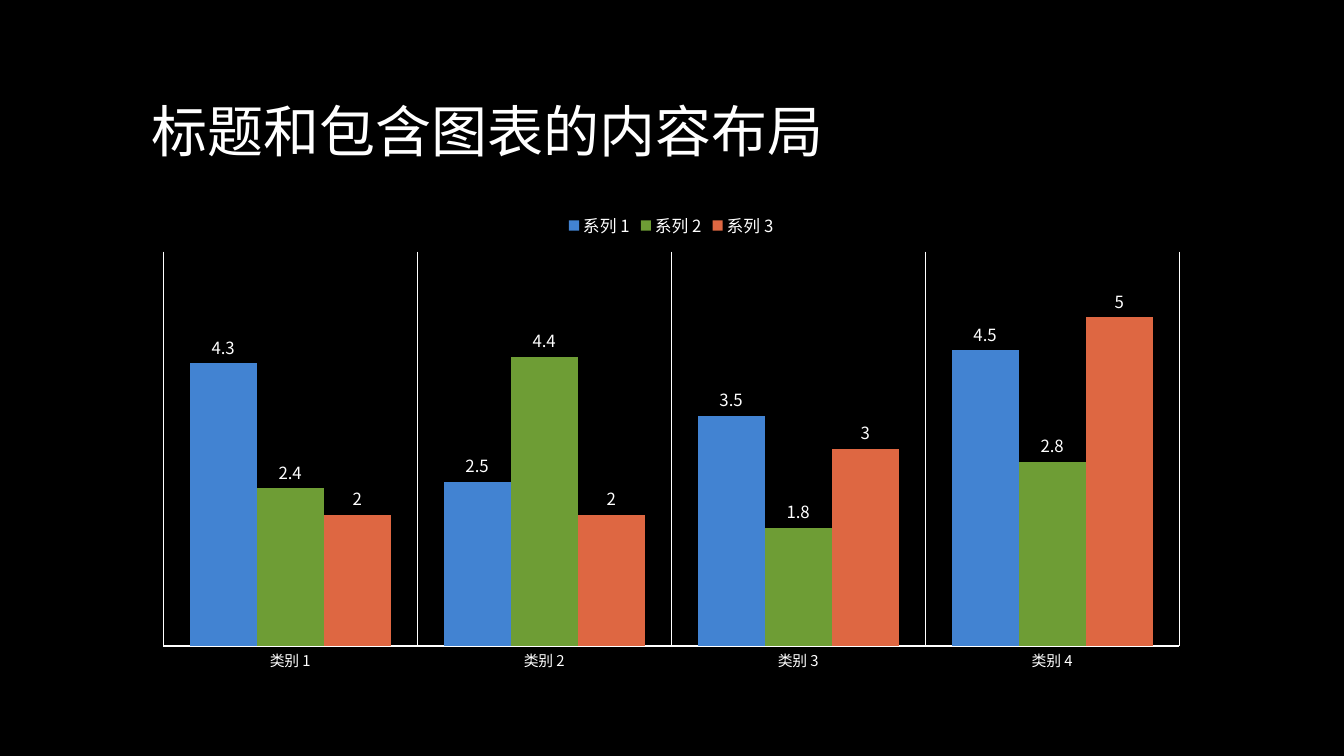
import pptx
import pptx.chart.data
import pptx.dml.color
import pptx.enum.chart
import pptx.enum.text
import pptx.util
from pptx.util import Cm, Pt

SANS = "Noto Sans CJK SC"
WHITE = "FFFFFF"
CATS = ["类别 1", "类别 2", "类别 3", "类别 4"]
ROWS = [
    ("系列 1", [4.3, 2.5, 3.5, 4.5], "4283D2"),
    ("系列 2", [2.4, 4.4, 1.8, 2.8], "6E9D35"),
    ("系列 3", [2, 2, 3, 5], "DE6742"),
]


def tint(color):
    """Return the colour for a hex string."""
    return pptx.dml.color.RGBColor.from_string(color)


def style(font, size, name=SANS):
    """Set a white font of the given size."""
    font.size = Pt(size)
    font.name = name
    font.bold = False
    font.color.rgb = tint(WHITE)


def rule(line):
    """Make a line thin and white."""
    line.color.rgb = tint(WHITE)
    line.width = Pt(0.75)


def title(slide, box, text):
    """Place the title at the foot of its box."""
    frame = slide.shapes.add_textbox(*box).text_frame
    frame.word_wrap = True
    frame.vertical_anchor = pptx.enum.text.MSO_ANCHOR.BOTTOM
    para = frame.paragraphs[0]
    para.line_spacing = 0.8
    run = para.add_run()
    run.text = text
    style(run.font, 40, "Karla")


def columns(slide, box):
    """Place the clustered column chart in its box."""
    data = pptx.chart.data.CategoryChartData()
    data.categories = CATS
    for name, vals, color in ROWS:
        data.add_series(name, vals)
    kind = pptx.enum.chart.XL_CHART_TYPE.COLUMN_CLUSTERED
    chart = slide.shapes.add_chart(kind, *box, data).chart
    style(chart.font, 10, "TeX Gyre Schola")
    chart.has_title = False
    chart.has_legend = True
    chart.legend.position = pptx.enum.chart.XL_LEGEND_POSITION.TOP
    chart.legend.include_in_layout = False
    style(chart.legend.font, 12)

    base = chart.category_axis
    base.major_tick_mark = pptx.enum.chart.XL_TICK_MARK.NONE
    base.has_major_gridlines = True
    rule(base.major_gridlines.format.line)
    rule(base.format.line)
    style(base.tick_labels.font, 10.6)

    scale = chart.value_axis
    scale.minimum_scale = 0
    scale.maximum_scale = 6
    scale.has_major_gridlines = False
    scale.visible = False

    plot = chart.plots[0]
    plot.gap_width = 79
    plot.overlap = 0
    plot.vary_by_categories = False
    for bars, (name, vals, color) in zip(plot.series, ROWS):
        bars.format.fill.solid()
        bars.format.fill.fore_color.rgb = tint(color)
        labels = bars.data_labels
        labels.show_value = True
        labels.position = pptx.enum.chart.XL_LABEL_POSITION.OUTSIDE_END
        style(labels.font, 12)


def main():
    """Build the slide and save it."""
    deck = pptx.Presentation()
    deck.slide_width = Cm(33.87)
    deck.slide_height = Cm(19.05)
    slide = deck.slides.add_slide(deck.slide_layouts[6])
    slide.background.fill.solid()
    slide.background.fill.fore_color.rgb = tint("000000")
    left, width = Cm(3.58), Cm(26.67)
    title(slide, (left, Cm(1.07), width, Cm(3.17)), "标题和包含图表的内容布局")
    columns(slide, (left, Cm(5.08), width, Cm(12.07)))
    deck.save("out.pptx")


if __name__ == "__main__":
    main()
